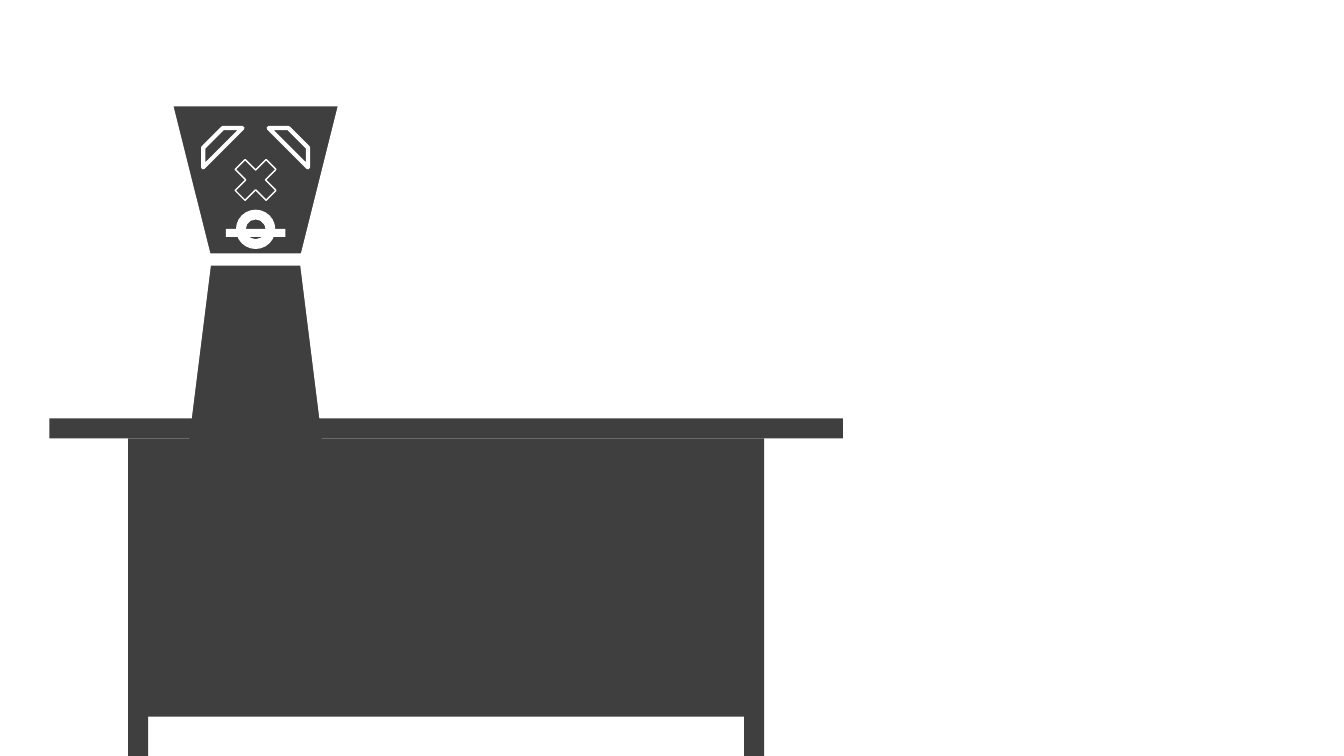
from pptx import Presentation
from pptx.dml.color import RGBColor
from pptx.enum.shapes import MSO_SHAPE
from pptx.oxml.ns import qn
from pptx.util import Inches, Pt

DARK = "3F3F3F"
WHITE = "FFFFFF"


def color(hex_string):
    """Turn a hex string into a colour."""
    return RGBColor.from_string(hex_string)


def add_part(slide, kind, left, top, width, height, fill=DARK, line_width=0):
    """Add a filled shape, with a white outline when a line width is given."""
    shape = slide.shapes.add_shape(
        kind, Inches(left), Inches(top), Inches(width), Inches(height)
    )
    shape.shadow.inherit = False
    shape.fill.solid()
    shape.fill.fore_color.rgb = color(fill)
    if line_width:
        shape.line.color.rgb = color(WHITE)
        shape.line.width = Pt(line_width)
    else:
        shape.line.fill.background()
    return shape


def add_body(slide, left, top, width, height):
    """Draw the torso of the figure behind the desk."""
    add_part(slide, MSO_SHAPE.TRAPEZOID, left, top, width, height, line_width=8)


def add_desk(slide, left, top, width, height):
    """Draw a desk top, its front panel and two legs."""
    thickness, overhang, panel_height = 0.2, 0.78, 2.76
    under = top + thickness
    first_leg = left + overhang
    last_leg = left + width - overhang - thickness
    panel_left = first_leg + thickness
    add_part(slide, MSO_SHAPE.RECTANGLE, left, top, width, thickness)
    add_part(slide, MSO_SHAPE.RECTANGLE, panel_left, under,
             last_leg - panel_left, panel_height)
    for leg in (first_leg, last_leg):
        add_part(slide, MSO_SHAPE.RECTANGLE, leg, under, thickness, height - thickness)


def add_head(slide, left, top, width, height):
    """Draw the head with its eyes, nose and mouth centred on it."""
    center = left + width / 2
    feature, wide_feature, eye_offset = 0.39, 0.59, 0.325
    head = add_part(slide, MSO_SHAPE.TRAPEZOID, left, top, width, height, line_width=8)
    head.rotation = 180
    for side in (-1, 1):
        eye_left = center + side * eye_offset - feature / 2
        eye = add_part(slide, MSO_SHAPE.DIAGONAL_STRIPE, eye_left, top + 0.27,
                       feature, feature, line_width=3)
        if side == 1:
            eye.element.spPr.find(qn("a:xfrm")).set("flipH", "1")
    wide_left = center - wide_feature / 2
    add_part(slide, MSO_SHAPE.MATH_MULTIPLY, wide_left, top + 0.49,
             wide_feature, wide_feature, line_width=1)
    mouth = add_part(slide, MSO_SHAPE.DONUT, center - feature / 2, top + 1.08,
                     feature, feature, WHITE)
    mouth.adjustments[0] = 0.25
    add_part(slide, MSO_SHAPE.RECTANGLE, wide_left, top + 1.27,
             wide_feature, 0.08, WHITE)


def main():
    """Build the slide and save it."""
    presentation = Presentation()
    presentation.slide_width = Inches(13.33)
    presentation.slide_height = Inches(7.5)
    slide = presentation.slides.add_slide(presentation.slide_layouts[6])
    add_body(slide, 1.55, 2.58, 1.97, 3.94)
    add_desk(slide, 0.49, 4.15, 7.87, 3.35)
    add_head(slide, 1.65, 1, 1.77, 1.57)
    presentation.save("out.pptx")


if __name__ == "__main__":
    main()
